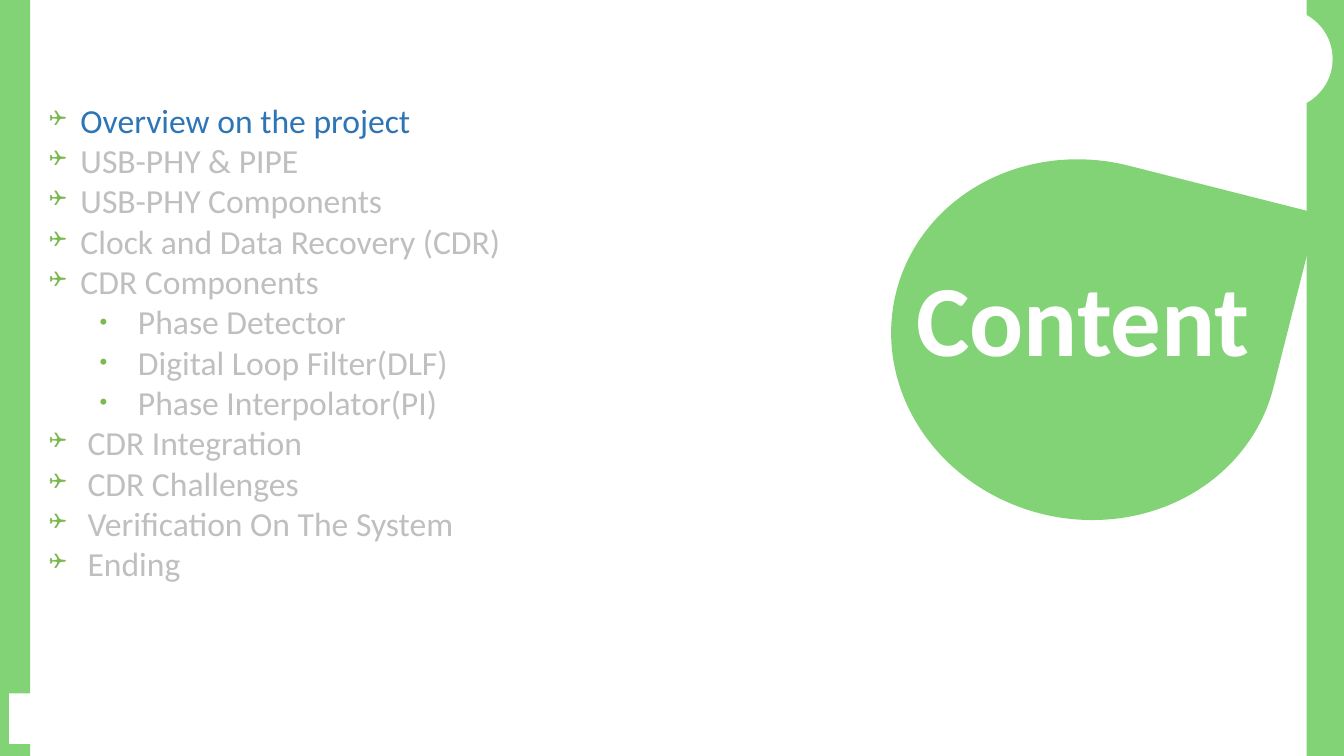
from lxml import etree
from pptx import Presentation, util as u
from pptx.dml.color import RGBColor
from pptx.enum import shapes, text
from pptx.oxml.ns import qn

HUES = {"leaf": "82D276", "white": "FFFFFF", "blue": "2E75B6",
        "gray": "BFBFBF", "mark": "7AB850"}
KIND = shapes.MSO_SHAPE

MAIN = {"char": "❑", "face": "Wingdings", "left": 0.31, "hang": 0.31, "level": 0}
SUB = {"char": "•", "face": "Arial", "left": 0.88, "hang": 0.38, "level": 1}
LAST = {**MAIN, "left": 0.38, "hang": 0.38}
TOPICS = [
    (MAIN, ["Overview on the project", "USB-PHY & PIPE", "USB-PHY Components",
            "Clock and Data Recovery (CDR)", "CDR Components"]),
    (SUB, ["Phase Detector", "Digital Loop Filter(DLF)", "Phase Interpolator(PI)"]),
    (LAST, ["CDR Integration", "CDR Challenges", "Verification On The System", "Ending"]),
]
ACTIVE = "Overview on the project"


def color(name):
    return RGBColor.from_string(HUES[name])


def inches(box):
    return [u.Inches(n) for n in box]


def block(slide, kind, box, hue, turn=0):
    shape = slide.shapes.add_shape(kind, *inches(box))
    shape.shadow.inherit = False
    shape.fill.solid()
    shape.fill.fore_color.rgb = color(hue)
    shape.line.fill.background()
    shape.rotation = turn
    return shape


def frame(slide, box, wrap):
    body = slide.shapes.add_textbox(*inches(box)).text_frame
    body.word_wrap = wrap
    body.auto_size = text.MSO_AUTO_SIZE.SHAPE_TO_FIT_TEXT
    return body


def write(para, words, hue, form):
    run = para.add_run()
    run.text = words
    for key, value in form.items():
        setattr(run.font, key, value)
    run.font.color.rgb = color(hue)


def bullet(para, style):
    props = para._p.get_or_add_pPr()
    props.set("marL", str(u.Inches(style["left"])))
    props.set("indent", str(-u.Inches(style["hang"])))
    tint = etree.SubElement(props, qn("a:buClr"))
    etree.SubElement(tint, qn("a:srgbClr"), val=HUES["mark"])
    etree.SubElement(props, qn("a:buSzPct"), val="66000")
    etree.SubElement(props, qn("a:buFont"), typeface=style["face"])
    etree.SubElement(props, qn("a:buChar"), char=style["char"])


def left_bar(slide, box):
    x, y, w, h = box
    block(slide, KIND.RECTANGLE, box, "leaf")
    block(slide, KIND.RECTANGLE, (x + 0.2, y + 6.88, 0.3, 0.5), "white")


def right_bar(slide, box):
    x, y, w, h = box
    block(slide, KIND.RECTANGLE, box, "leaf")
    disc = block(slide, KIND.OVAL, (x - 0.76, y + 0.09, 1.01, 0.99), "white")
    disc.line.color.rgb = color("white")
    disc.line.width = u.Pt(1)


def agenda(slide, box):
    body = frame(slide, box, True)
    form = {"name": "Calibri", "size": u.Pt(24)}
    rows = [(style, words) for style, group in TOPICS for words in group]
    for i, (style, words) in enumerate(rows):
        para = body.add_paragraph() if i else body.paragraphs[0]
        para.level = style["level"]
        para.line_spacing = u.Pt(28.8)
        bullet(para, style)
        write(para, words, "blue" if words == ACTIVE else "gray", form)


def title(slide, box):
    body = frame(slide, box, False)
    form = {"name": "Calibri", "size": u.Pt(72), "bold": True}
    write(body.paragraphs[0], "Content", "white", form)


def main():
    deck = Presentation()
    deck.slide_width, deck.slide_height = inches((13.33, 7.5))
    slide = deck.slides.add_slide(deck.slide_layouts[6])
    block(slide, KIND.TEAR, (8.83, 1.59, 3.86, 3.56), "leaf", 14.2)
    left_bar(slide, (-0.11, 0, 0.41, 7.6))
    right_bar(slide, (12.96, 0, 0.37, 7.6))
    agenda(slide, (0.39, 0.94, 12.07, 4.95))
    title(slide, (8.99, 2.49, 3.54, 1.31))
    deck.save("out.pptx")


if __name__ == "__main__":
    main()
